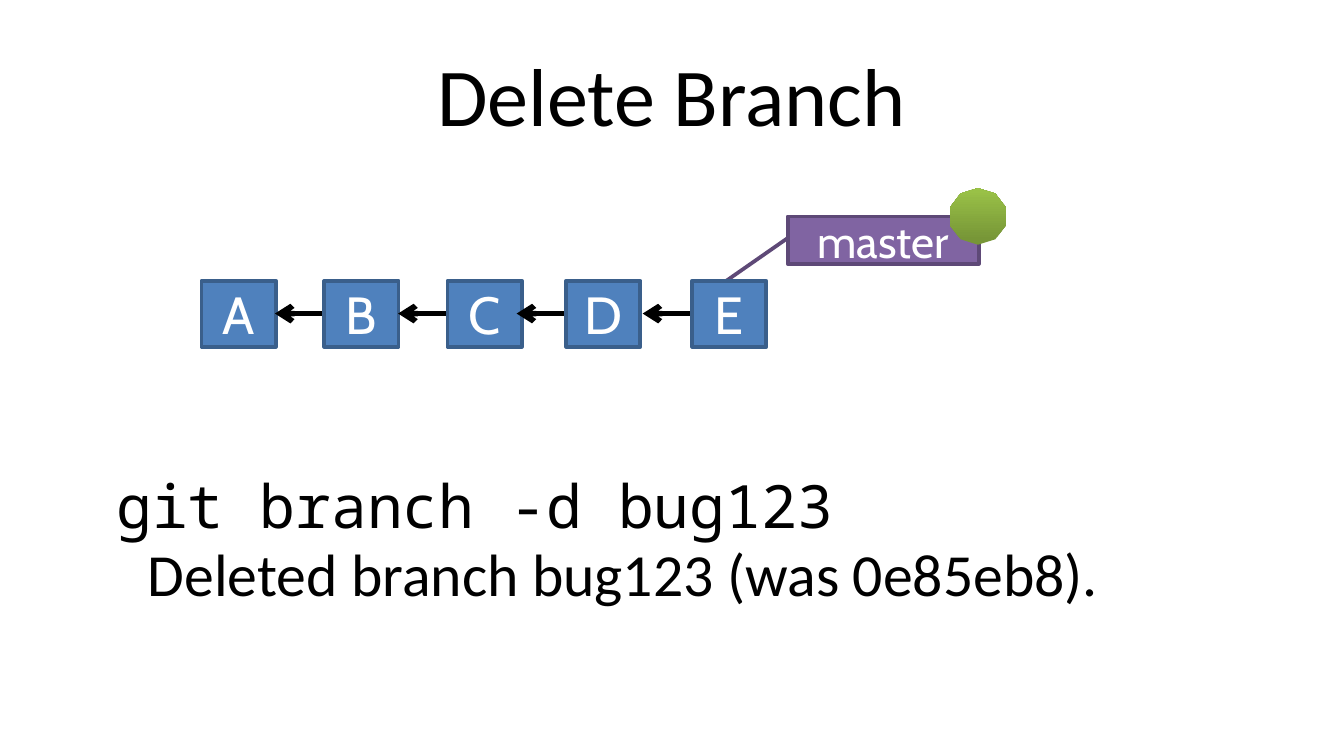
from pptx import Presentation
from pptx.dml.color import RGBColor
from pptx.enum.shapes import MSO_CONNECTOR, MSO_SHAPE
from pptx.enum.text import MSO_ANCHOR, PP_ALIGN
from pptx.oxml.ns import qn
from pptx.util import Pt
from lxml import etree

RECT = MSO_SHAPE.RECTANGLE
CALLOUT = MSO_SHAPE.LINE_CALLOUT_1
STAR = MSO_SHAPE.STAR_5_POINT
LINE = MSO_CONNECTOR.STRAIGHT
MIDDLE = MSO_ANCHOR.MIDDLE
CENTER = PP_ALIGN.CENTER


def paint(color, code):
    color.rgb = RGBColor.from_string(code)


def add_box(kind, place, text, size, fill, edge):
    box = slide.shapes.add_shape(kind, *map(Pt, place))
    box.shadow.inherit = False
    box.fill.solid()
    paint(box.fill.fore_color, fill)
    paint(box.line.color, edge)
    box.line.width = Pt(2)
    frame = box.text_frame
    frame.text = text
    frame.vertical_anchor = MIDDLE
    para = frame.paragraphs[0]
    para.alignment = CENTER
    para.font.name = "Cabin"
    para.font.size = Pt(size)
    paint(para.font.color, "FFFFFF")
    return box


deck = Presentation()
deck.slide_width, deck.slide_height = Pt(720), Pt(405)
slide = deck.slides.add_slide(deck.slide_layouts[5])

# Title
title = slide.shapes.title
title.left, title.top, title.width, title.height = map(Pt, (36, 16.4, 648, 67.5))
title.text_frame.text = "Delete Branch"
title.text_frame.vertical_anchor = MIDDLE
para = title.text_frame.paragraphs[0]
para.alignment = CENTER
para.font.name = "Calibri"
para.font.size = Pt(44)
paint(para.font.color, "000000")

# Command and its output
note = slide.shapes.add_textbox(Pt(36), Pt(250.5), Pt(648), Pt(111.6))
frame = note.text_frame
frame.word_wrap = True
frame.text = " git branch -d bug123\n\tDeleted branch bug123 (was 0e85eb8)."
for para, face in zip(frame.paragraphs, ("Noto Sans Mono", "Calibri")):
    para.line_spacing = 0.95
    para.font.name = face
    para.font.size = Pt(32)
    paint(para.font.color, "000000")

# Branch label with a line to the last commit
label = add_box(CALLOUT, (422, 116, 102.4, 25.3), "master", 24, "8064A2", "5E4977")
for i, value in enumerate((0.446, 0.004, 1.383, -0.329)):
    label.adjustments[i] = value

# Commits, each with an arrow back to its parent
commits = {"A": 108, "B": 173.8, "C": 239.8, "D": 303.3, "E": 370.8}
for name, left in commits.items():
    if name != "A":
        arrow = slide.shapes.add_connector(
            LINE, Pt(left), Pt(168), Pt(left - 26.5), Pt(168))
        paint(arrow.line.color, "000000")
        arrow.line.width = Pt(3)
        tail = etree.SubElement(arrow.line._get_or_add_ln(), qn("a:tailEnd"))
        tail.set("type", "arrow")
        etree.SubElement(arrow._element.spPr, qn("a:effectLst"))
    add_box(RECT, (left, 150.4, 39.8, 35.4), name, 28, "4F81BD", "3A5F8B")

# Marker of the current branch
mark = slide.shapes.add_shape(STAR, Pt(508.8), Pt(100.8), Pt(30.2), Pt(27.4))
mark.shadow.inherit = False
mark.adjustments[0] = 0.5
mark.line.fill.background()
mark.fill.gradient()
mark.fill.gradient_angle = 90
for stop, code, spot in zip(mark.fill.gradient_stops, ("779637", "9BC348"), (0, 1)):
    paint(stop.color, code)
    stop.position = spot

deck.save("out.pptx")
